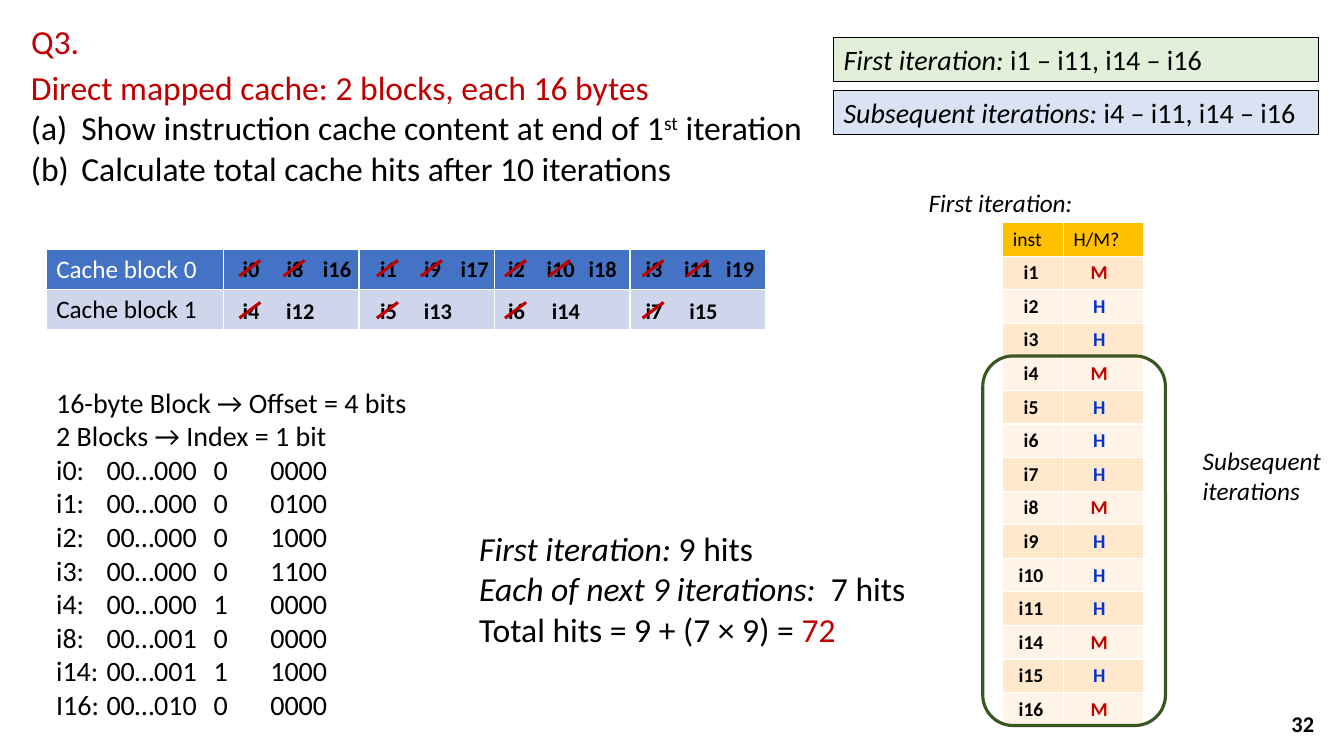
from dataclasses import dataclass
from typing import NamedTuple

from lxml import etree
from pptx import Presentation
from pptx import util as u
from pptx.dml.color import RGBColor
from pptx.enum import shapes, text
from pptx.oxml.ns import qn

PX = 9525  # EMU in one px
FONT = "Calibri"
COLORS = {
    "black": "000000", "white": "FFFFFF", "red": "C00000", "blue": "0033CC",
    "green": "385723", "pale_green": "E2F0D9", "pale_blue": "DAE3F3",
    "cache_head": "4472C4", "cache_body": "CFD5EA",
    "trace_head": "FFC000", "trace_odd": "FFE8CC", "trace_even": "FFF4E7",
}


class Box(NamedTuple):
    left: int
    top: int
    width: int
    height: int


class Span(NamedTuple):
    words: str
    italic: bool = False
    color: str = ""
    raised: bool = False


@dataclass
class Style:
    size: int
    color: str = "black"
    bold: bool = False
    align: text.PP_ALIGN = text.PP_ALIGN.LEFT


@dataclass
class Note:
    box: Box
    size: int
    lines: list[list[Span]]
    fill: str = ""


def rgb(name: str) -> RGBColor:
    return RGBColor.from_string(COLORS[name])


def emu(lengths: tuple) -> list[int]:
    return [length * PX for length in lengths]


def write(para, spans: list[Span], style: Style) -> None:
    para.alignment = style.align
    font = para.font
    font.name, font.size, font.bold = FONT, u.Pt(style.size), style.bold
    font.color.rgb = rgb(style.color)
    for span in spans:
        run = para.add_run()
        run.text = span.words
        if span.italic:
            run.font.italic = True
        if span.color:
            run.font.color.rgb = rgb(span.color)
        if span.raised:
            run.font._element.set("baseline", "30000")


def add_text(page, box: Box, lines: list[list[Span]], style: Style):
    shape = page.shapes.add_textbox(*emu(box))
    frame = shape.text_frame
    frame.word_wrap = True
    for index, spans in enumerate(lines):
        para = frame.add_paragraph() if index else frame.paragraphs[0]
        write(para, spans, style)
    return shape


def add_label(page, box: Box, words: str, size: int, color: str = "black") -> None:
    add_text(page, box, [[Span(words)]], Style(size, color, True, text.PP_ALIGN.CENTER))


def add_note(page, note: Note) -> None:
    shape = add_text(page, note.box, note.lines, Style(note.size))
    if note.fill:
        shape.fill.solid()
        shape.fill.fore_color.rgb = rgb(note.fill)
        shape.line.color.rgb = rgb("black")
        shape.line.width = u.Pt(0.75)


def add_grid(page, left: int, top: int, widths: list[int], row_height: int,
             fills: list[str], margin: int):
    box = Box(left, top, sum(widths), row_height * len(fills))
    table = page.shapes.add_table(len(fills), len(widths), *emu(box)).table
    for column, width in zip(table.columns, widths):
        column.width = width * PX
    for row, fill in zip(table.rows, fills):
        row.height = row_height * PX
        for cell in row.cells:
            cell.fill.solid()
            cell.fill.fore_color.rgb = rgb(fill)
            cell.margin_top = cell.margin_bottom = margin * PX
            cell.vertical_anchor = text.MSO_ANCHOR.MIDDLE
    return table


def add_strike(page, left: int, top: int) -> None:
    line = page.shapes.add_connector(
        shapes.MSO_CONNECTOR.STRAIGHT, *emu((left, top + 15, left + 20, top)))
    line.line.color.rgb = rgb("red")
    line.line.width = u.Pt(2.25)
    etree.SubElement(line._element.spPr, qn("a:effectLst"))


def add_question(page) -> None:
    title = page.shapes.title
    title.left, title.top, title.width, title.height = emu(Box(20, 15, 83, 48))
    title.text_frame.auto_size = text.MSO_AUTO_SIZE.NONE
    title.text_frame.vertical_anchor = text.MSO_ANCHOR.TOP
    write(title.text_frame.paragraphs[0], [Span("Q3.")], Style(24, "red"))

    shape = page.shapes.add_textbox(*emu(Box(20, 59, 792, 126)))
    frame = shape.text_frame
    frame.word_wrap = True
    write(frame.paragraphs[0], [Span("Direct mapped cache: 2 blocks, each 16 bytes")],
          Style(24, "red"))
    for spans in (
        [Span("Show instruction cache content at end of 1"), Span("st", raised=True),
         Span(" iteration")],
        [Span("Calculate total cache hits after 10 iterations")],
    ):
        para = frame.add_paragraph()
        props = para._p.get_or_add_pPr()
        props.set("marL", str(48 * PX))
        props.set("indent", str(-48 * PX))
        etree.SubElement(props, qn("a:buFont"), typeface="+mj-lt")
        etree.SubElement(props, qn("a:buAutoNum"), type="alphaLcParenBoth")
        write(para, spans, Style(24))


def add_cache(page) -> None:
    table = add_grid(page, 44, 238, [169] + [129] * 4, 38, ["cache_head", "cache_body"], 4)
    for block, color in enumerate(("white", "black")):
        write(table.cell(block, 0).text_frame.paragraphs[0],
              [Span(f"Cache block {block}")], Style(18, color))
    # Each load fills four words; all but the latest load are struck out
    word_lefts = (216, 347, 469, 600)
    for block, offsets in enumerate(((0, 42, 82), (0, 47))):
        top = 238 + 40 * block
        for load, offset in enumerate(offsets):
            for word, left in enumerate(word_lefts):
                number = 4 * (2 * load + block) + word
                add_label(page, Box(left + offset, top, 46, 36), f"i{number}", 16)
                if load == 0 or load < len(offsets) - 1:
                    add_strike(page, left + offset + 12, top + 10)


def add_trace(page) -> None:
    outcomes = "MHHMHHHMHHHMHM"
    numbers = [*range(1, 12), *range(14, 17)]
    fills = ["trace_head"] + ["trace_odd", "trace_even"] * 7
    table = add_grid(page, 955, 212, [58, 76], 32, fills, 1)
    for column, heading in enumerate(("inst", "H/M?")):
        write(table.cell(0, column).text_frame.paragraphs[0], [Span(heading)], Style(14))
    for row, (number, outcome) in enumerate(zip(numbers, outcomes)):
        top = 243 + 32 * row
        add_label(page, Box(959, top, 46, 33), f"i{number}", 14)
        add_label(page, Box(1024, top, 46, 33), outcome, 14,
                  "red" if outcome == "M" else "blue")
    loop = page.shapes.add_shape(
        shapes.MSO_SHAPE.ROUNDED_RECTANGLE, *emu(Box(936, 339, 174, 352)))
    loop.shadow.inherit = False
    loop.fill.background()
    loop.line.color.rgb = rgb("green")
    loop.line.width = u.Pt(2.25)


def add_addresses(page) -> None:
    addresses = (("i0", "000", 0, "0000"), ("i1", "000", 0, "0100"),
                 ("i2", "000", 0, "1000"), ("i3", "000", 0, "1100"),
                 ("i4", "000", 1, "0000"), ("i8", "001", 0, "0000"),
                 ("i14", "001", 1, "1000"), ("I16", "010", 0, "0000"))
    lines = ["16-byte Block → Offset = 4 bits", "2 Blocks → Index = 1 bit"]
    lines += [f"{name}:\t00…{tag}\t{index}\t{offset}" for name, tag, index, offset in addresses]
    frame = page.shapes.add_textbox(*emu(Box(44, 362, 483, 333))).text_frame
    frame.word_wrap = True
    for row, line in enumerate(lines):
        para = frame.add_paragraph() if row else frame.paragraphs[0]
        tabs = etree.SubElement(para._p.get_or_add_pPr(), qn("a:tabLst"))
        for stop in (48, 150, 204):
            etree.SubElement(tabs, qn("a:tab"), pos=str(stop * PX), algn="l")
        write(para, [Span(line)], Style(20))


NOTES = [
    Note(Box(794, 36, 462, 42), 20,
         [[Span("First iteration: ", True), Span("i1 – i11, i14 – i16")]], "pale_green"),
    Note(Box(794, 86, 462, 42), 20,
         [[Span("Subsequent iterations: ", True), Span("i4 – i11, i14 – i16")]], "pale_blue"),
    Note(Box(875, 174, 182, 38), 18, [[Span("First iteration:", True)]]),
    Note(Box(1136, 419, 144, 68), 18, [[Span("Subsequent iterations", True)]]),
    Note(Box(447, 498, 444, 126), 24, [
        [Span("First iteration: ", True), Span("9 hits")],
        [Span("Each of next 9 iterations: ", True), Span(" 7 hits")],
        [Span("Total hits = 9 + (7 × 9) = "), Span("72", color="red")],
    ]),
]


def main() -> None:
    deck = Presentation()
    deck.slide_width, deck.slide_height = emu((1280, 720))
    page = deck.slides.add_slide(deck.slide_layouts[5])
    add_question(page)
    add_cache(page)
    add_trace(page)
    for note in NOTES:
        add_note(page, note)
    add_addresses(page)
    # Page number
    number = add_text(page, Box(973, 670, 288, 38), [[Span("32")]],
                      Style(16, bold=True, align=text.PP_ALIGN.RIGHT))
    number.text_frame.vertical_anchor = text.MSO_ANCHOR.MIDDLE
    deck.save("out.pptx")


if __name__ == "__main__":
    main()
